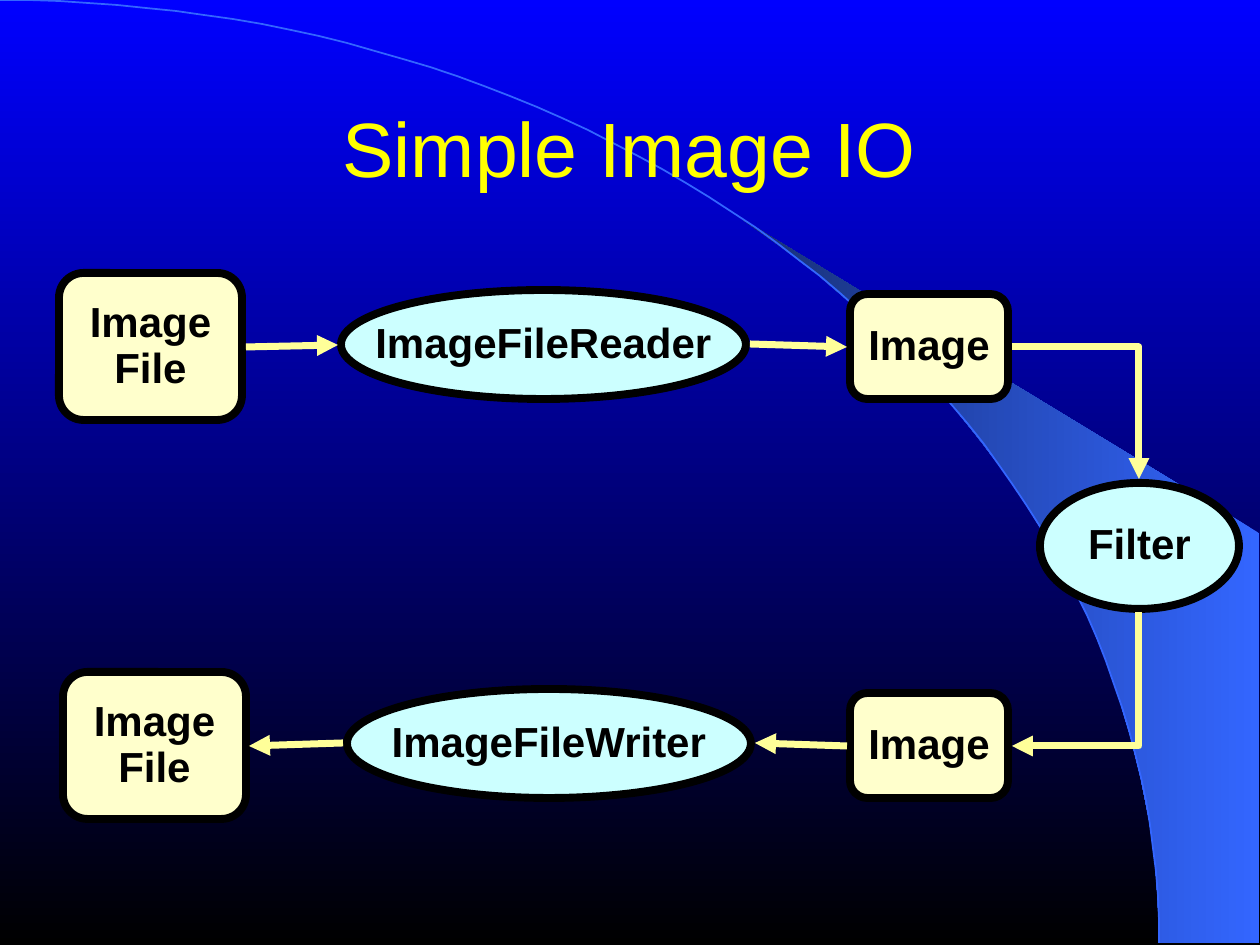
from math import asin, cos, pi, sin

from lxml.etree import SubElement
from pptx import Presentation
from pptx.dml.color import RGBColor
from pptx.enum.shapes import MSO_CONNECTOR, MSO_SHAPE
from pptx.enum.text import MSO_ANCHOR, PP_ALIGN
from pptx.oxml.ns import qn
from pptx.util import Pt

PX = 914400 // 126
FONT = "Arial"
BLUE = RGBColor(0x00, 0x00, 0xFF)
BLACK = RGBColor(0x00, 0x00, 0x00)
SKY = RGBColor(0x33, 0x66, 0xFF)
NAVY = RGBColor(0x17, 0x2F, 0x75)
YELLOW = RGBColor(0xFF, 0xFF, 0x00)
CREAM = RGBColor(0xFF, 0xFF, 0xCC)
CYAN = RGBColor(0xCC, 0xFF, 0xFF)
ARROW = RGBColor(0xFF, 0xFF, 0x99)

TITLE = "Simple Image IO"
DATA = (MSO_SHAPE.ROUNDED_RECTANGLE, CREAM)
PROCESS = (MSO_SHAPE.OVAL, CYAN)
# name: (text, style, left, top, width, height)
NODES = {
    "input file": ("Image\nFile", DATA, 59, 273, 183, 147),
    "reader": ("ImageFileReader", PROCESS, 341, 290, 405, 109),
    "image read": ("Image", DATA, 850, 294, 158, 105),
    "filter": ("Filter", PROCESS, 1040, 483, 199, 126),
    "image filtered": ("Image", DATA, 850, 693, 158, 105),
    "writer": ("ImageFileWriter", PROCESS, 347, 689, 404, 109),
    "output file": ("Image\nFile", DATA, 63, 672, 183, 147),
}
LEFT, RIGHT = 1, 3
# from, to, start, end, side of the rectangle that is joined
STRAIGHT = [
    ("input file", "reader", (246, 347), (338, 345), RIGHT),
    ("reader", "image read", (750, 344), (847, 347), LEFT),
    ("image filtered", "writer", (847, 746), (755, 743), LEFT),
    ("writer", "output file", (343, 743), (249, 746), RIGHT),
]
# start, end, quarter turns
BENT = [((1012, 347), (1139, 479), 0), ((1139, 612), (1012, 746), 1)]
ARC_RX, ARC_RY = 1159, 943
BEAM_TIP, BEAM_RIGHT, BEAM_TOP = 742, 1259, 533


def arc(start, steps):
    """Points on the quarter ellipse from angle start down to its right end."""
    angles = [start + (pi / 2 - start) * i / steps for i in range(steps + 1)]
    return [(round(ARC_RX * sin(a)), round(ARC_RY * (1 - cos(a)))) for a in angles]


def set_gradient(fill, first, last, angle):
    fill.gradient()
    fill.gradient_angle = angle
    for stop, color, position in zip(fill.gradient_stops, (first, last), (0, 1)):
        stop.color.rgb = color
        stop.position = position


def add_outline(s, points, close):
    builder = s.shapes.build_freeform(*points[0], scale=PX)
    builder.add_line_segments(points[1:], close=close)
    sp = builder.convert_to_shape()
    sp.shadow.inherit = False
    return sp


def set_text(tf, text, size, color, bold=False):
    tf.text = text
    tf.vertical_anchor = MSO_ANCHOR.MIDDLE
    for p in tf.paragraphs:
        p.alignment = PP_ALIGN.CENTER
        p.line_spacing = 0.93
        for r in p.runs:
            r.font.name, r.font.size, r.font.bold = FONT, Pt(size), bold
            r.font.color.rgb = color


def add_node(s, text, style, *box):
    kind, color = style
    sp = s.shapes.add_shape(kind, *(v * PX for v in box))
    sp.shadow.inherit = False
    sp.fill.solid()
    sp.fill.fore_color.rgb = color
    sp.line.color.rgb = BLACK
    sp.line.width = Pt(4.5)
    set_text(sp.text_frame, text, 24, BLACK, bold=True)
    sp.text_frame.word_wrap = False
    return sp


def add_arrow(s, kind, start, end):
    cx = s.shapes.add_connector(kind, *(int(v * PX) for v in (*start, *end)))
    cx.line.color.rgb = ARROW
    cx.line.width = Pt(4)
    SubElement(cx.line._get_or_add_ln(), qn("a:tailEnd"), type="triangle")
    SubElement(cx.element.spPr, qn("a:effectLst"))
    return cx


def add_bent_arrow(s, start, end, turns):
    (x1, y1), (x2, y2) = start, end
    if turns:  # the box is stored unturned, about the same centre
        mx, my, w, h = (x1 + x2) / 2, (y1 + y2) / 2, abs(y2 - y1), abs(x2 - x1)
        start, end = (mx - w / 2, my - h / 2), (mx + w / 2, my + h / 2)
    cx = add_arrow(s, MSO_CONNECTOR.ELBOW, start, end)
    cx.element.spPr.find(qn("a:prstGeom")).set("prst", "bentConnector2")
    if turns:
        cx.element.spPr.find(qn("a:xfrm")).set("rot", str(turns * 90 * 60000))


def main():
    prs = Presentation()
    prs.slide_width, prs.slide_height = 1260 * PX, 945 * PX
    s = prs.slides.add_slide(prs.slide_layouts[5])
    set_gradient(s.background.fill, BLUE, BLACK, 270)

    corner = [(BEAM_RIGHT, ARC_RY), (BEAM_RIGHT, BEAM_TOP)]
    beam = add_outline(s, arc(asin(BEAM_TIP / ARC_RX), 20) + corner, True)
    set_gradient(beam.fill, SKY, NAVY, 180)
    beam.line.fill.background()
    horizon = add_outline(s, arc(0, 62), False)
    horizon.fill.background()
    horizon.line.color.rgb = SKY
    horizon.line.width = Pt(1)

    title = s.shapes.title
    title.left, title.top, title.width, title.height = (v * PX for v in (94, 73, 1071, 158))
    set_text(title.text_frame, TITLE, 44, YELLOW)
    title.element.getparent().append(title.element)  # in front of the backdrop

    nodes = {name: add_node(s, *node) for name, node in NODES.items()}
    for source, target, start, end, side in STRAIGHT:
        cx = add_arrow(s, MSO_CONNECTOR.STRAIGHT, start, end)
        if NODES[source][1] is DATA:
            cx.begin_connect(nodes[source], side)
        else:
            cx.end_connect(nodes[target], side)
        # keep the ends clear of the thick outlines
        cx.begin_x, cx.begin_y = (v * PX for v in start)
        cx.end_x, cx.end_y = (v * PX for v in end)
    for bent in BENT:
        add_bent_arrow(s, *bent)
    prs.save("out.pptx")


if __name__ == "__main__":
    main()
